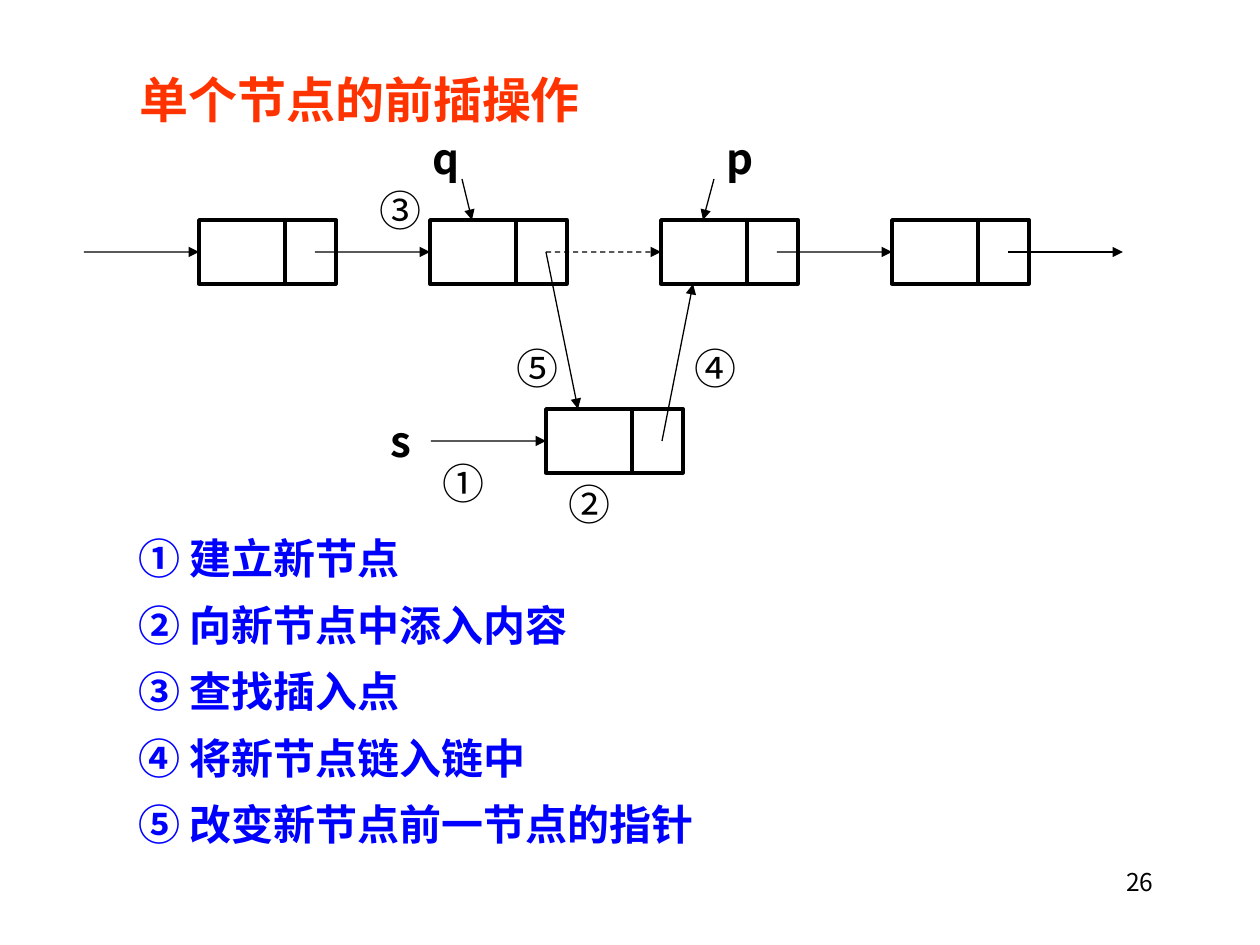
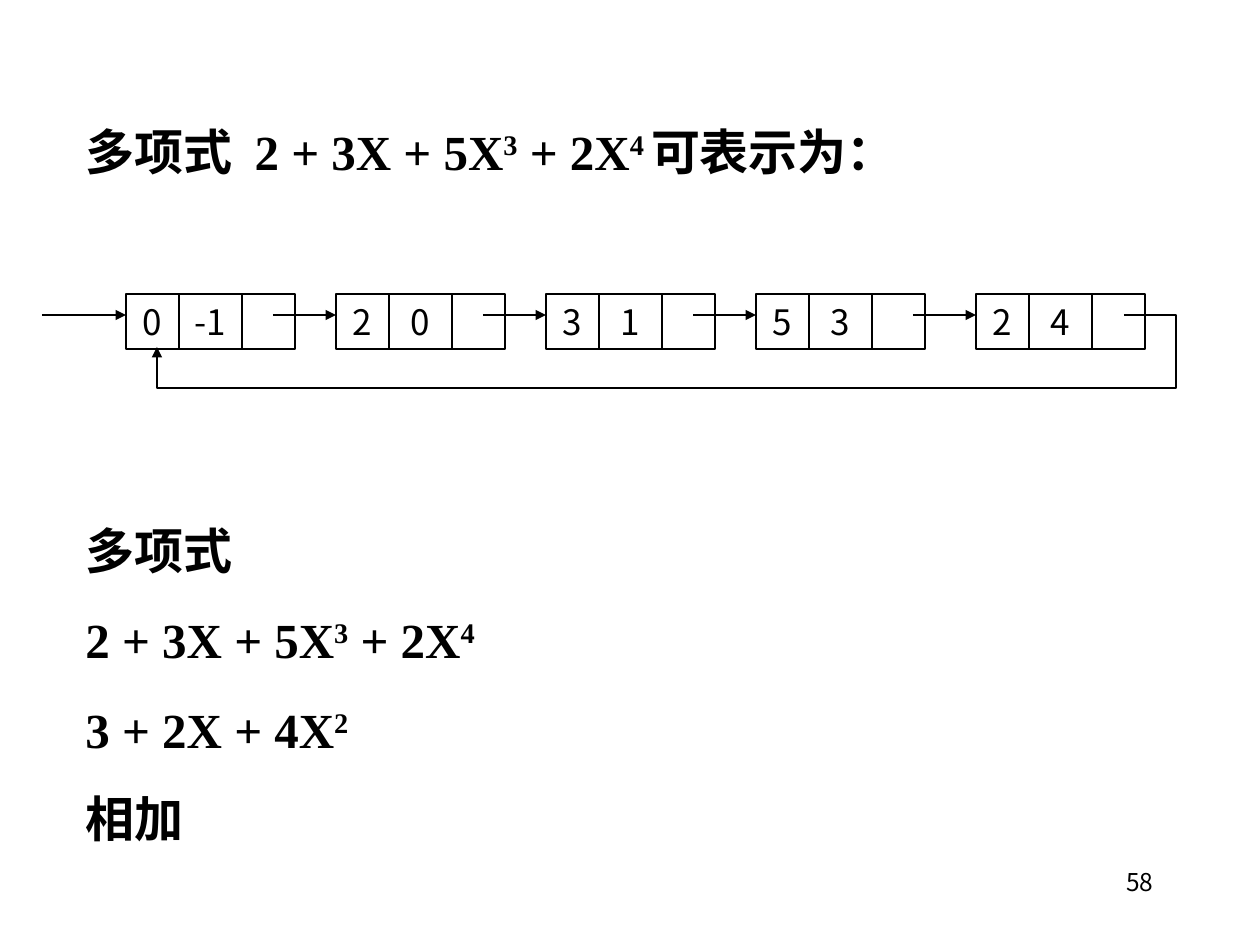
"""Two slides on linked lists: inserting a node before another, and polynomials as circular lists."""
from lxml.etree import SubElement
from pptx import Presentation
from pptx.dml.color import RGBColor
from pptx.enum.dml import MSO_LINE
from pptx.enum.shapes import MSO_CONNECTOR, MSO_SHAPE
from pptx.enum.text import MSO_ANCHOR, MSO_AUTO_SIZE, PP_ALIGN
from pptx.oxml.ns import qn
from pptx.util import Pt

PX = 914400 / 126
BLACK = RGBColor(0x00, 0x00, 0x00)
RED = RGBColor(0xFF, 0x33, 0x00)
BLUE = RGBColor(0x00, 0x00, 0xFF)
SANS = "Noto Sans CJK JP"
SERIF = "Times New Roman"
RAISED_MARK = "|"

INSERT_TITLE = "单个节点的前插操作"
INSERT_STEPS = ["① 建立新节点", "② 向新节点中添入内容", "③ 查找插入点",
                "④ 将新节点链入链中", "⑤ 改变新节点前一节点的指针"]
STEP_MARKS = [("①", 430, 451), ("②", 556, 472), ("③", 367, 178), ("④", 682, 336), ("⑤", 504, 336)]
POINTER_NAMES = [("q", 420, 126), ("p", 714, 126), ("s", 378, 409)]
POINTER_ARROWS = [((462, 179), (472, 220)), ((714, 179), (703, 220)),
                  ((546, 252), (578, 409)), ((662, 441), (693, 284))]
CHAIN_X, CHAIN_Y, CHAIN_STEP, CHAIN_COUNT = 199, 220, 231, 4
NEW_NODE = (546, 409)
NODE_W, NODE_H, NODE_SPLIT, LINK_LENGTH = 137, 64, 86, 115
REPLACED_LINK = 2

POLY_TITLE = "多项式  2 + 3X + 5X|3| + 2X|4 |可表示为："
POLY_BODY = ["多项式", "2 + 3X + 5X|3| + 2X|4", "3 + 2X + 4X|2", "相加"]
TERMS = [(126, "0", "-1"), (336, "2", "0"), (546, "3", "1"), (756, "5", "3"), (976, "2", "4")]
TERM_Y, TERM_H, TERM_LINK_Y = 294, 55, 315
CELL_WIDTHS = (53, 63, 53)
RETURN_LINK = [(1124, 315), (1176, 315), (1176, 388), (157, 388), (157, 347)]


def emu(*lengths):
    return [round(n * PX) for n in lengths]


def write(shape, lines, size, font=SANS, color=BLACK, bold=False, before=0, spacing=1.0,
          align=PP_ALIGN.LEFT, anchor=MSO_ANCHOR.TOP):
    tf = shape.text_frame
    tf.auto_size = MSO_AUTO_SIZE.NONE
    tf.word_wrap = True
    tf.vertical_anchor = anchor
    for i, line in enumerate(lines):
        p = tf.add_paragraph() if i else tf.paragraphs[0]
        p.alignment, p.line_spacing, p.space_before = align, spacing, Pt(before)
        f = p.font
        f.size, f.bold, f.name = Pt(size), bold, font
        f.color.rgb = color
        SubElement(p._p.pPr.find(qn("a:defRPr")), qn("a:ea"), typeface=SANS)
        for j, part in enumerate(line.split(RAISED_MARK)):
            r = p.add_run()
            r.text = part
            if j % 2:
                r._r.get_or_add_rPr().set("baseline", "30000")


def add_text(s, box, lines, size, **style):
    write(s.shapes.add_textbox(*emu(*box)), lines, size, **style)


def add_slide(prs, title, box, number, **style):
    s = prs.slides.add_slide(prs.slide_layouts[5])
    sp = s.shapes.title
    sp.left, sp.top, sp.width, sp.height = emu(*box)
    write(sp, [title], 28, font=SERIF, bold=True, before=17.5, **style)
    add_text(s, (903, 861, 263, 63), [number], 14, before=8.8, align=PP_ALIGN.RIGHT)
    return s


def outline(shape, weight, arrow=False):
    shape.line.color.rgb = BLACK
    shape.line.width = Pt(weight)
    if arrow:
        SubElement(shape._element.spPr.find(qn("a:ln")), qn("a:tailEnd"), type="triangle")


def add_box(s, box, weight):
    sp = s.shapes.add_shape(MSO_SHAPE.RECTANGLE, *emu(*box))
    sp.shadow.inherit = False
    sp.fill.background()
    outline(sp, weight)
    return sp


def add_line(s, start, end, weight, arrow=True, target=None, dashed=False):
    c = s.shapes.add_connector(MSO_CONNECTOR.STRAIGHT, *emu(*start, *end))
    if target is not None:
        c.end_connect(target, 1)
    if dashed:
        c.line.dash_style = MSO_LINE.DASH
    outline(c, weight, arrow)
    SubElement(c._element.spPr, qn("a:effectLst"))


def add_node(s, x, y, dashed=False):
    node = add_box(s, (x, y, NODE_W, NODE_H), 2)
    add_line(s, (x + NODE_SPLIT, y), (x + NODE_SPLIT, y + NODE_H), 2, arrow=False)
    mid = y + NODE_H // 2
    add_line(s, (x - LINK_LENGTH, mid), (x, mid), 0.75, target=node, dashed=dashed)


def build_insertion(prs):
    s = add_slide(prs, INSERT_TITLE, (127, 79, 600, 54), "26", color=RED, spacing=0.7)
    for i in range(CHAIN_COUNT):
        add_node(s, CHAIN_X + i * CHAIN_STEP, CHAIN_Y, dashed=i == REPLACED_LINK)
    add_node(s, *NEW_NODE)
    end, mid = CHAIN_X + CHAIN_COUNT * CHAIN_STEP, CHAIN_Y + NODE_H // 2
    add_line(s, (end - LINK_LENGTH, mid), (end, mid), 0.75)
    for start, tip in POINTER_ARROWS:
        add_line(s, start, tip, 0.75)
    for labels, width, bold in ((STEP_MARKS, 110, False), (POINTER_NAMES, 73, True)):
        for label, x, y in labels:
            add_text(s, (x, y, width, 63), [label], 24, bold=bold, before=15)
    add_text(s, (126, 536, 1008, 320), INSERT_STEPS, 24, color=BLUE, bold=True,
             before=15, spacing=0.8)


def build_polynomial(prs):
    s = add_slide(prs, POLY_TITLE, (73, 115, 1113, 72), "58")
    for i, (x, coefficient, exponent) in enumerate(TERMS):
        left = x
        for width, value in zip(CELL_WIDTHS, (coefficient, exponent, "")):
            cell = add_box(s, (left, TERM_Y, width, TERM_H), 1.5)
            if value:
                write(cell, [value], 20, before=12.5, align=PP_ALIGN.CENTER,
                      anchor=MSO_ANCHOR.MIDDLE)
            left += width
        add_line(s, (x - (63 if i else 84), TERM_LINK_Y), (x, TERM_LINK_Y), 1.5)
    builder = s.shapes.build_freeform(*RETURN_LINK[0], scale=PX)
    builder.add_line_segments(RETURN_LINK[1:], close=False)
    loop = builder.convert_to_shape()
    loop.shadow.inherit = False
    loop.fill.background()
    outline(loop, 1.5, arrow=True)
    add_text(s, (73, 514, 1113, 340), POLY_BODY, 28, font=SERIF, bold=True, before=17.5)


def main():
    prs = Presentation()
    prs.slide_width, prs.slide_height = emu(1260, 945)
    build_insertion(prs)
    build_polynomial(prs)
    prs.save("out.pptx")


if __name__ == "__main__":
    main()
